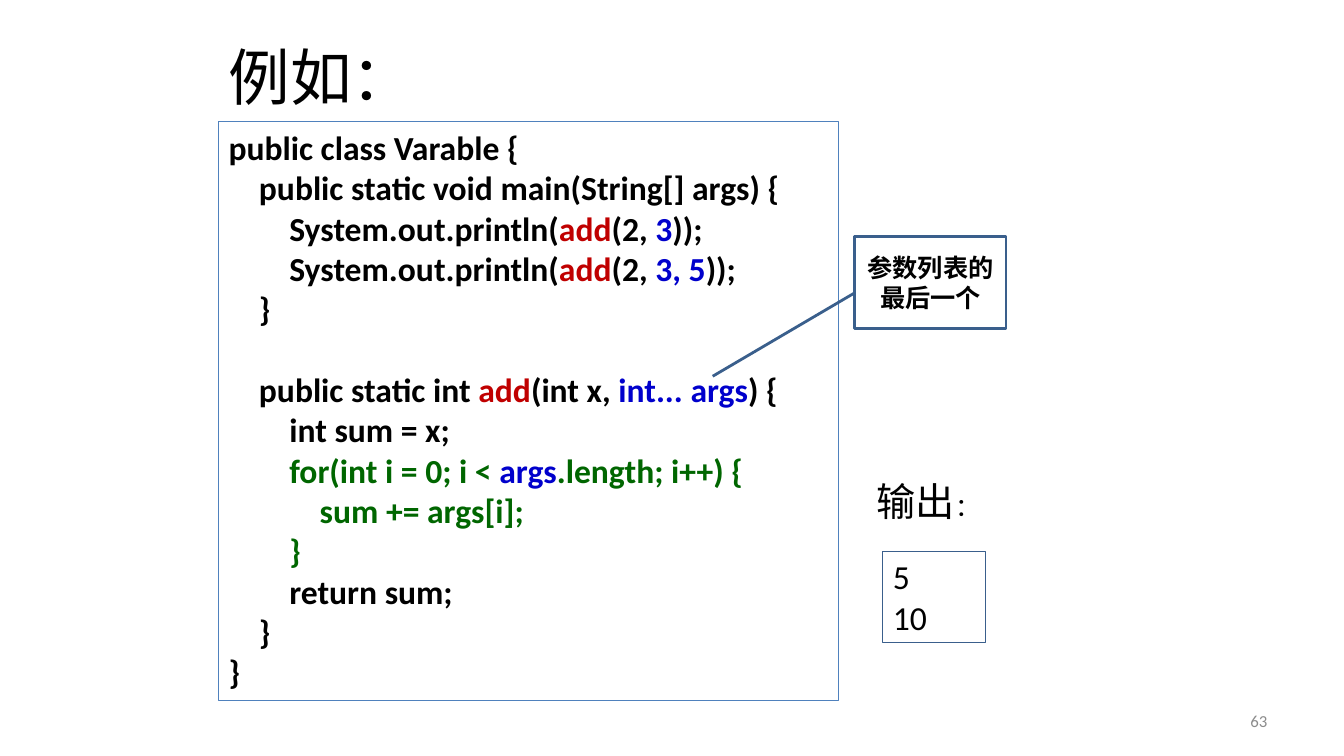
from pptx import Presentation
from pptx.dml.color import RGBColor
from pptx.enum.shapes import MSO_SHAPE
from pptx.enum.text import MSO_ANCHOR, PP_ALIGN
from pptx.util import Pt

COLORS = {
    "black": "000000", "red": "C00000", "blue": "0000CC", "green": "006600",
    "gray": "8C8C8C", "frame": "4F81BD", "dark_frame": "3A5F8C",
}
CODE_SIZE = 24
LINE_PITCH = 28.8
INDENT = 21.7

# Each line: indent level, then runs of (text, color)
MAIN_METHOD = [
    (0, [("public class Varable {", "black")]),
    (1, [("public static void main(String[] args) {", "black")]),
    *[(2, [("System.out.println(", "black"), ("add", "red"), ("(2, ", "black"),
           (extra, "blue"), ("));", "black")]) for extra in ("3", "3, 5")],
    (1, [("}", "black")]),
]
ADD_METHOD = [
    (1, [("public static int ", "black"), ("add", "red"), ("(int x, ", "black"),
         ("int... args", "blue"), (") {", "black")]),
    (2, [("int sum = x;", "black")]),
    (2, [("for(int i = 0; i < ", "green"), ("args", "blue"),
         (".length; i++) {", "green")]),
    (3, [("sum += args[i];", "green")]),
    (2, [("}", "green")]),
    (2, [("return sum;", "black")]),
    (1, [("}", "black")]),
    (0, [("}", "black")]),
]


class SlideBuilder:
    font = "Calibri"

    def __init__(self, slide):
        self.slide = slide

    def add_span(self, para, text, size, color="black", bold=False):
        span = para.add_run()
        span.text = text
        span.font.name = self.font
        span.font.size = Pt(size)
        span.font.bold = bold
        span.font.color.rgb = RGBColor.from_string(COLORS[color])

    def label(self, bounds, runs, align=PP_ALIGN.LEFT, wrap=True,
              anchor=MSO_ANCHOR.MIDDLE):
        """Add one line of text; runs are (text, size, color)."""
        box = self.slide.shapes.add_textbox(*map(Pt, bounds))
        frame = box.text_frame
        frame.word_wrap = wrap
        frame.vertical_anchor = anchor
        para = frame.paragraphs[0]
        para.alignment = align
        for text, size, color in runs:
            self.add_span(para, text, size, color)

    def framed(self, kind, bounds, line, width, anchor=MSO_ANCHOR.TOP):
        """Add an unfilled outlined shape."""
        shape = self.slide.shapes.add_shape(kind, *map(Pt, bounds))
        shape.shadow.inherit = False
        shape.fill.background()
        shape.line.color.rgb = RGBColor.from_string(COLORS[line])
        shape.line.width = Pt(width)
        shape.text_frame.word_wrap = True
        shape.text_frame.vertical_anchor = anchor
        return shape

    def listing(self, bounds, blocks, line, bold):
        """Add a framed listing, with one line of space between blocks."""
        box = self.framed(MSO_SHAPE.RECTANGLE, bounds, line, 0.75)
        frame = box.text_frame
        para = None
        for block in blocks:
            for row, (level, runs) in enumerate(block):
                first = para is None
                para = frame.paragraphs[0] if first else frame.add_paragraph()
                para.alignment = PP_ALIGN.LEFT
                para.line_spacing = Pt(LINE_PITCH)
                if row == 0 and not first:
                    para.space_before = Pt(LINE_PITCH)
                if level:
                    properties = para._p.get_or_add_pPr()
                    properties.set("marL", str(Pt(level * INDENT)))
                    properties.set("indent", "0")
                for text, color in runs:
                    self.add_span(para, text, CODE_SIZE, color, bold)

    def callout(self, bounds, adjustments, text):
        shape = self.framed(MSO_SHAPE.LINE_CALLOUT_1, bounds, "dark_frame", 2,
                            MSO_ANCHOR.MIDDLE)
        for index, value in enumerate(adjustments):
            shape.adjustments[index] = value
        para = shape.text_frame.paragraphs[0]
        para.alignment = PP_ALIGN.CENTER
        self.add_span(para, text, 18, bold=True)


def main():
    deck = Presentation()
    deck.slide_width, deck.slide_height = Pt(960), Pt(540)
    builder = SlideBuilder(deck.slides.add_slide(deck.slide_layouts[6]))

    builder.label((156.2, 21.6, 648, 65.5), [("例如：", 44, "black")])
    builder.listing((156.2, 87.1, 442.8, 413.3), [MAIN_METHOD, ADD_METHOD],
                    "frame", True)
    builder.label((688.3, 500.4, 224, 28.8), [("63", 12, "gray")],
                  align=PP_ALIGN.RIGHT)
    results = [(0, [(value, "black")]) for value in ("5", "10")]
    builder.listing((630.7, 393.8, 73.4, 65.5), [results], "dark_frame", False)
    builder.label((619.2, 337.7, 88.6, 41),
                  [("输出", 28, "black"), ("：", 18, "black")],
                  wrap=False, anchor=MSO_ANCHOR.TOP)
    builder.callout((610.6, 169.2, 108, 65.5), (0.61, 0, 1.52, -0.94),
                    "参数列表的最后一个")
    deck.save("out.pptx")


if __name__ == "__main__":
    main()
